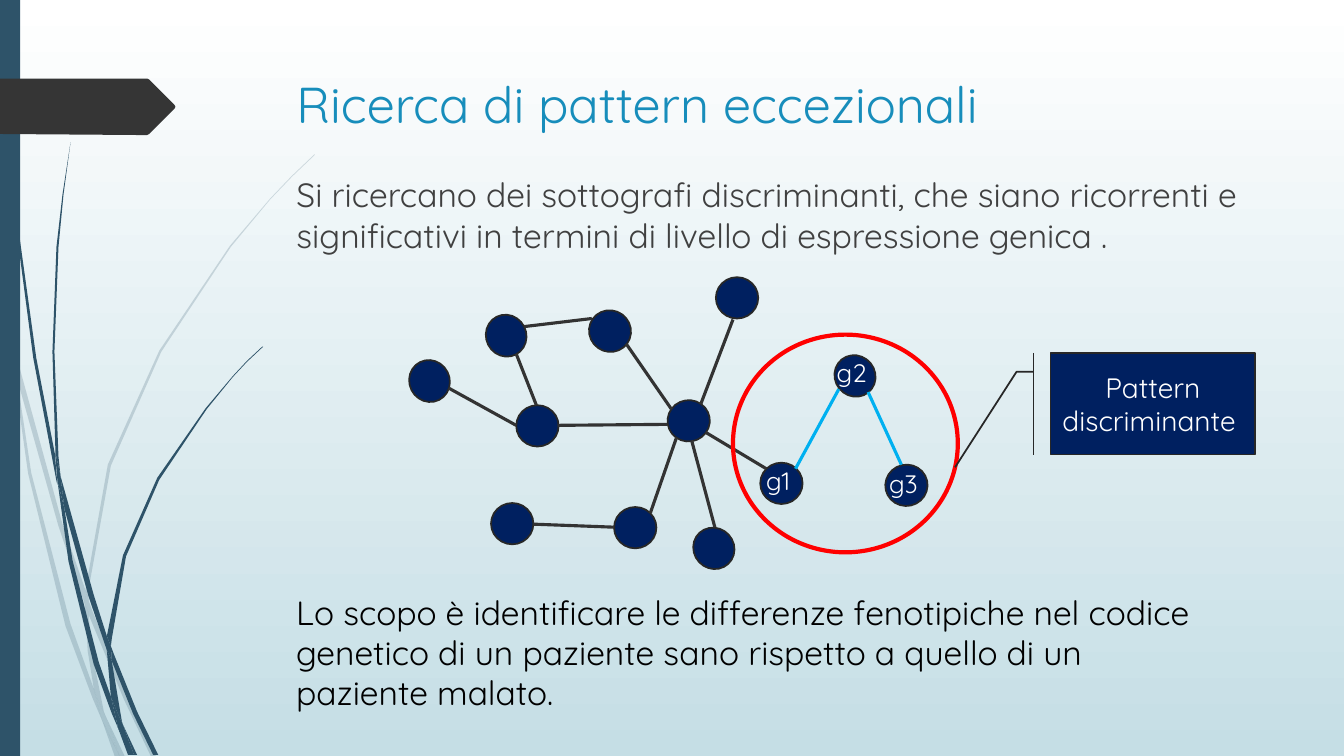
from lxml import etree
from pptx import Presentation
from pptx.dml.color import RGBColor
from pptx.enum.shapes import MSO_CONNECTOR, MSO_SHAPE
from pptx.enum.text import MSO_ANCHOR, MSO_AUTO_SIZE, PP_ALIGN
from pptx.oxml.ns import qn
from pptx.util import Inches, Pt

OVAL, RECT = MSO_SHAPE.OVAL, MSO_SHAPE.RECTANGLE
CALLOUT = MSO_SHAPE.LINE_CALLOUT_2_BORDER_AND_ACCENT_BAR
STRAIGHT = MSO_CONNECTOR.STRAIGHT
TOP, MIDDLE = MSO_ANCHOR.TOP, MSO_ANCHOR.MIDDLE
LEFT, CENTER = PP_ALIGN.LEFT, PP_ALIGN.CENTER

FONT = "Quicksand"
TEAL, NAVY, OUTLINE, EDGE, CYAN = "2E5369", "002060", "272727", "333333", "00B0F0"

TITLE = "Ricerca di pattern eccezionali"
BODY = ("Si ricercano dei sottografi discriminanti, che siano ricorrenti e "
        "significativi in termini di livello di espressione genica .")
GOAL = ("Lo scopo è identificare le differenze fenotipiche nel codice genetico "
        "di un paziente sano rispetto a quello di un paziente malato.")
CALLOUT_TEXT = "Pattern discriminante "
LABELS = [("g1", 7.5, 4.57, 0.6), ("g2", 8.2, 3.5, 0.58), ("g3", 8.72, 4.6, 0.51)]

# Gene nodes: left, top, height, rotation
NODE_W = 0.42
NODES = [(5.84, 3.08, 0.41, 35.8), (5.12, 4.02, 0.41, 0), (7.54, 4.59, 0.41, 0),
         (6.09, 5.03, 0.41, 0), (6.62, 3.97, 0.41, 351.1), (6.87, 5.24, 0.4, 47.3),
         (7.1, 2.75, 0.41, 0), (4.87, 4.99, 0.41, 0), (8.27, 3.53, 0.4, 50.9),
         (8.78, 4.61, 0.41, 347.3), (4.05, 3.58, 0.4, 63.1), (4.81, 3.13, 0.4, 63.1)]
# x1, y1, x2, y2
EDGES = [(6.21, 3.41, 6.66, 4.06), (5.53, 4.22, 6.62, 4.21),
         (6.71, 4.34, 6.45, 5.09), (7, 4.29, 7.6, 4.65),
         (5.29, 5.2, 6.09, 5.23), (6.95, 4.01, 7.27, 3.17),
         (7.09, 5.23, 6.86, 4.37), (5.12, 3.51, 5.32, 4.02),
         (5.2, 3.24, 5.87, 3.16), (4.45, 3.85, 5.12, 4.22)]
PATTERN_EDGES = [(8.94, 4.61, 8.61, 3.89), (7.89, 4.65, 8.32, 3.86)]

# Outlines of the grass blades, piece by piece
PALE_GRASS = [
    [(0.11, 3.5), (0.09, 3.22), (0, 2.82), (0, 2.99), (0.1, 3.44)],
    [(0.58, 5.22), (0.84, 5.99), (0.85, 5.86), (0.62, 5.2), (0.14, 3.45), (0.17, 3.76)],
    [(0.92, 6.07), (0.88, 5.96), (0.88, 6.1), (1.23, 6.94), (1.5, 7.51), (1.55, 7.51),
     (1.27, 6.92)],
    [(1.19, 7.51), (1.24, 7.51), (1.05, 7.11)],
    [(0.93, 6.83), (0.7, 6.19), (0.31, 4.69), (0.17, 3.76), (0.11, 3.5), (0.28, 4.7),
     (0.65, 6.21), (0.92, 6.93), (1.01, 7.14), (0.99, 7.07)],
    [(0.84, 5.99), (0.87, 6.46), (0.93, 6.83), (0.96, 6.92), (1.05, 7.11),
     (1.03, 7.06), (0.91, 6.46), (0.88, 6.1), (0.88, 6.08)],
    [(0.88, 5.84), (1.1, 4.62), (1.6, 3.49), (2.29, 2.45), (2.68, 1.98), (2.9, 1.75),
     (3.12, 1.54), (3.12, 1.53), (2.89, 1.75), (2.68, 1.97), (2.28, 2.44),
     (1.58, 3.48), (1.07, 4.61), (0.85, 5.84), (0.85, 5.86), (0.88, 5.96)],
    [(1.01, 7.14), (1.14, 7.51), (1.19, 7.51)],
    [(0.88, 6.08), (0.88, 6.1), (0.88, 5.96), (0.85, 5.86), (0.84, 5.99)],
    [(0.96, 6.92), (0.93, 6.83), (0.99, 7.07), (1.01, 7.14), (1.19, 7.51), (1.05, 7.11)],
]
DARK_GRASS = [
    [(0.07, 1.1), (0.17, 2.33), (0.33, 3.55), (0.56, 4.77), (0.57, 4.81), (0.55, 4.57),
     (0.55, 4.53), (0.36, 3.55), (0.19, 2.32), (0.08, 1.09), (0.05, 0.48), (0.04, 0),
     (0.03, 0), (0.04, 0.48)],
    [(0.88, 5.92), (1.06, 6.45), (1.06, 6.31), (0.93, 5.9), (0.6, 4.72), (0.64, 5.05)],
    [(1.13, 6.49), (1.1, 6.41), (1.11, 6.56), (1.32, 7.08), (1.52, 7.49), (1.57, 7.49),
     (1.36, 7.06)],
    [(1.1, 6.91), (0.98, 6.57), (0.72, 5.56), (0.64, 5.05), (0.57, 4.77), (0.68, 5.57),
     (0.93, 6.59), (1.11, 7.08), (1.17, 7.22), (1.16, 7.17)],
    [(0.6, 4.72), (0.58, 4.53), (0.54, 3.49), (0.58, 2.45), (0.63, 1.93), (0.7, 1.41),
     (0.62, 1.93), (0.56, 2.45), (0.52, 3.49), (0.55, 4.49)],
    [(1.33, 7.49), (1.36, 7.49), (1.22, 7.19)],
    [(0.57, 4.77), (0.64, 5.05), (0.6, 4.72), (0.55, 4.49), (0.55, 4.53)],
    [(1.11, 6.33), (1.25, 5.52), (1.58, 4.76), (2.05, 4.06), (2.31, 3.74), (2.45, 3.59),
     (2.61, 3.44), (2.6, 3.44), (2.45, 3.58), (2.31, 3.73), (2.04, 4.05), (1.56, 4.74),
     (1.22, 5.51), (1.06, 6.31), (1.1, 6.41)],
    [(1.17, 7.22), (1.27, 7.49), (1.31, 7.49)],
    [(1.06, 6.45), (1.1, 6.91), (1.16, 7.06), (1.22, 7.19), (1.21, 7.16), (1.11, 6.56),
     (1.09, 6.51)],
    [(1.06, 6.45), (1.09, 6.51), (1.11, 6.56), (1.1, 6.41), (1.06, 6.31)],
    [(1.16, 7.06), (1.1, 6.91), (1.16, 7.17), (1.17, 7.22), (1.3, 7.49), (1.33, 7.49),
     (1.22, 7.19)],
]
ARROW_TAB = [(1.73, 1.08), (1.48, 1.33), (1.46, 1.34), (1.36, 1.34), (0, 1.33),
             (0, 0.78), (1.46, 0.78), (1.48, 0.79), (1.73, 1.04), (1.74, 1.06)]


def rgb(color):
    return RGBColor.from_string(color)


def style(sp, fill=None, line=None, width=1.25):
    sp.shadow.inherit = False
    if fill:
        sp.fill.solid()
        sp.fill.fore_color.rgb = rgb(fill)
    else:
        sp.fill.background()
    if line:
        sp.line.color.rgb = rgb(line)
        sp.line.width = Pt(width)
    else:
        sp.line.fill.background()


def add_shape(kind, x, y, w, h, **look):
    sp = s.shapes.add_shape(kind, Inches(x), Inches(y), Inches(w), Inches(h))
    style(sp, **look)
    return sp


def add_textbox(x, y, w, h):
    return s.shapes.add_textbox(Inches(x), Inches(y), Inches(w), Inches(h))


def write(sp, text, size, color, align=LEFT, anchor=TOP):
    tf = sp.text_frame
    tf.word_wrap = True
    tf.auto_size = MSO_AUTO_SIZE.NONE
    tf.vertical_anchor = anchor
    p = tf.paragraphs[0]
    p.alignment = align
    p.space_before = Pt(0)
    r = p.add_run()
    r.text = text
    r.font.name = FONT
    r.font.size = Pt(size)
    r.font.color.rgb = rgb(color)
    return p


def place(sp, x, y, w, h):
    sp.left, sp.top, sp.width, sp.height = (Inches(v) for v in (x, y, w, h))


def add_line(ends, color):
    c = s.shapes.add_connector(STRAIGHT, *(Inches(v) for v in ends))
    c.line.color.rgb = rgb(color)
    c.line.width = Pt(2.25)
    etree.SubElement(c._element.spPr, qn("a:effectLst"))


def add_polygon(points, fill, opacity=100):
    pts = [(Inches(x), Inches(y)) for x, y in points]
    fb = s.shapes.build_freeform(*pts[0])
    fb.add_line_segments(pts[1:], close=True)
    sp = fb.convert_to_shape()
    style(sp, fill)
    if opacity < 100:
        clr = sp._element.spPr.find(qn("a:solidFill"))[0]
        etree.SubElement(clr, qn("a:alpha"), val=str(opacity * 1000))


prs = Presentation()
prs.slide_width, prs.slide_height = Inches(13.33), Inches(7.5)
s = prs.slides.add_slide(prs.slide_layouts[1])

bg = s.background.fill
bg.gradient()
bg.gradient_angle = 270
for stop, color in zip(bg.gradient_stops, ("FFFFFF", "C5DEE5")):
    stop.color.rgb = rgb(color)

for pieces, opacity in ((PALE_GRASS, 20), (DARK_GRASS, 100)):
    for piece in pieces:
        add_polygon(piece, TEAL, opacity)
add_shape(RECT, 0, 0, 0.2, 7.5, fill=TEAL)
add_polygon(ARROW_TAB, "353535")

title, body = s.placeholders
place(title, 2.84, 0.68, 9.75, 0.88)
write(title, TITLE, 36, "178DBB")
place(body, 2.84, 1.68, 9.75, 1.07)
pPr = write(body, BODY, 24, "404040")._p.get_or_add_pPr()
pPr.set("marL", "0")
pPr.set("indent", "0")
etree.SubElement(pPr, qn("a:buNone"))
write(add_textbox(2.84, 5.82, 9.06, 1.31), GOAL, 24, "000000")

for x, y, h, angle in NODES:
    node = add_shape(OVAL, x, y, NODE_W, h, fill=NAVY, line=OUTLINE)
    node.rotation = angle
for color, edges in ((EDGE, EDGES), (CYAN, PATTERN_EDGES)):
    for ends in edges:
        add_line(ends, color)

add_shape(OVAL, 7.27, 3.32, 2.23, 2.16, line="FF0000", width=3)
for text, x, y, w in LABELS:
    write(add_textbox(x, y, w, 0.4), text, 18, "FFFFFF")
callout = add_shape(CALLOUT, 10.42, 3.5, 2.03, 1.01, fill=NAVY, line=OUTLINE)
write(callout, CALLOUT_TEXT, 20, "FFFFFF", align=CENTER, anchor=MIDDLE)

prs.save("out.pptx")
